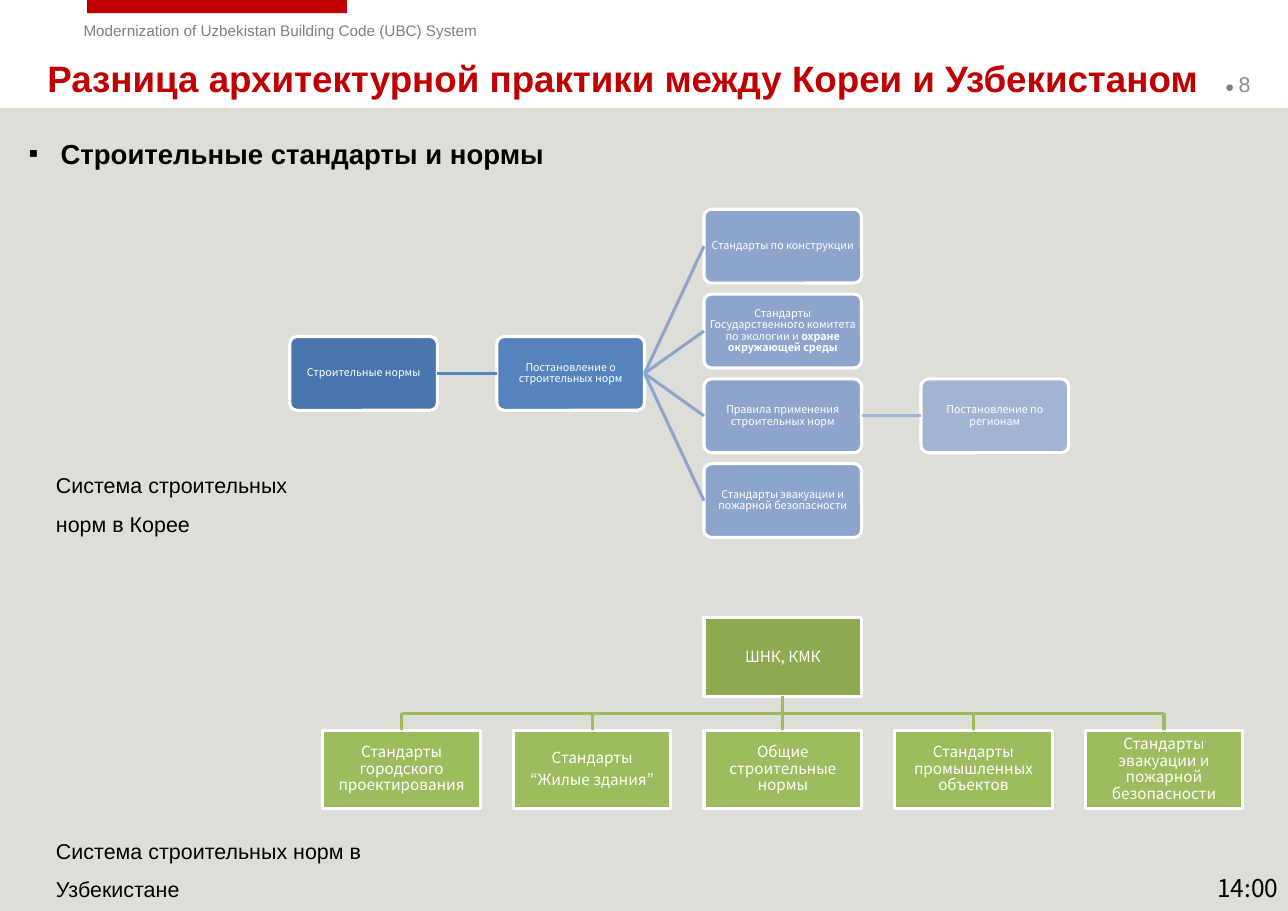
from lxml.etree import SubElement
from pptx import Presentation
from pptx.dml.color import RGBColor
from pptx.enum.shapes import MSO_CONNECTOR as CONNECTOR, MSO_SHAPE as SHAPE
from pptx.enum.text import MSO_ANCHOR as ANCHOR, MSO_AUTO_SIZE as AUTO_SIZE, PP_ALIGN as ALIGN
from pptx.oxml.ns import qn
from pptx.util import Inches, Pt

WHITE = RGBColor(0xFF, 0xFF, 0xFF)
BLACK = RGBColor(0, 0, 0)
RED = RGBColor(0xC0, 0, 0)
PANEL = RGBColor(0xDE, 0xDE, 0xD8)
GRAY = RGBColor(0x80, 0x80, 0x80)
NUMBER_GRAY = RGBColor(0x8C, 0x8C, 0x8C)
LAW_BLUE = RGBColor(0x48, 0x75, 0xAC)
DECREE_BLUE = RGBColor(0x54, 0x83, 0xBE)
STANDARD_BLUE = RGBColor(0x8D, 0xA5, 0xCC)
REGION_BLUE = RGBColor(0xA1, 0xB4, 0xD4)
ROOT_GREEN = RGBColor(0x8D, 0xAA, 0x51)
GREEN = RGBColor(0x9C, 0xBC, 0x5D)

BODY_FONT = "Arial"
DIAGRAM_FONT = "Noto Sans CJK KR"
TEXT_INSETS = (0.1, 0.05)
PLACEHOLDER_INSETS = (0.11, 0.06)


def write_text(shape, *paragraphs, size, color, font=BODY_FONT, bold=False, align=ALIGN.LEFT,
               anchor=ANCHOR.TOP, insets=TEXT_INSETS, line_spacing=1.0, space_after=0, bullet=None):
    """Fill a shape; each paragraph is a string or a list of (text, format overrides)."""
    frame = shape.text_frame
    frame.word_wrap = True
    frame.auto_size = AUTO_SIZE.NONE
    frame.vertical_anchor = anchor
    frame.margin_left = frame.margin_right = Inches(insets[0])
    frame.margin_top = frame.margin_bottom = Inches(insets[1])
    for index, content in enumerate(paragraphs):
        paragraph = frame.add_paragraph() if index else frame.paragraphs[0]
        paragraph.alignment = align
        paragraph.line_spacing = line_spacing
        paragraph.space_before = Pt(0)
        paragraph.space_after = Pt(space_after)
        if bullet:
            add_bullet(paragraph, bullet)
        runs = [(content, {})] if isinstance(content, str) else content
        for text, overrides in runs:
            run = paragraph.add_run()
            run.text = text
            run.font.name = font
            run.font.size = Pt(overrides.get("size", size))
            run.font.bold = overrides.get("bold", bold)
            run.font.color.rgb = overrides.get("color", color)


def add_bullet(paragraph, character):
    properties = paragraph._p.get_or_add_pPr()
    properties.set("marL", str(Inches(0.29)))
    properties.set("indent", str(-Inches(0.29)))
    SubElement(properties, qn("a:buFont")).set("typeface", BODY_FONT)
    SubElement(properties, qn("a:buChar")).set("char", character)


def add_text(slide, box, *paragraphs, **text_format):
    shape = slide.shapes.add_textbox(*map(Inches, box))
    write_text(shape, *paragraphs, **text_format)


def add_box(slide, kind, box, fill, line=None):
    shape = slide.shapes.add_shape(kind, *map(Inches, box))
    shape.shadow.inherit = False
    shape.fill.solid()
    shape.fill.fore_color.rgb = fill
    if line is None:
        shape.line.fill.background()
    else:
        shape.line.color.rgb = line
        shape.line.width = Pt(2)
    return shape


def add_node(slide, kind, box, fill, *paragraphs, size, inset):
    node = add_box(slide, kind, box, fill, WHITE)
    if kind == SHAPE.ROUNDED_RECTANGLE:
        node.adjustments[0] = 0.1
    write_text(node, *paragraphs, size=size, color=WHITE, font=DIAGRAM_FONT, align=ALIGN.CENTER,
               anchor=ANCHOR.MIDDLE, insets=(inset, inset), line_spacing=0.9, space_after=0.35 * size)
    return node


def add_line(slide, color, start=(0, 0), end=(0, 0), begin_site=None, end_site=None):
    """Draw a line between points; a site (shape, index) replaces the point at its end."""
    line = slide.shapes.add_connector(CONNECTOR.STRAIGHT, *map(Inches, (*start, *end)))
    if begin_site:
        line.begin_connect(*begin_site)
    if end_site:
        line.end_connect(*end_site)
    line.line.color.rgb = color
    line.line.width = Pt(2)
    SubElement(line._element.spPr, qn("a:effectLst"))


def add_header(slide, width):
    add_box(slide, SHAPE.RECTANGLE, (0.79, 0, 2.36, 0.12), RED)
    add_text(slide, (0.66, 0.14, 4.68, 0.27),
             "Modernization of Uzbekistan Building Code (UBC) System", size=10, color=GRAY)
    add_text(slide, (width - 0.68, 0.54, 0.69, 0.44),
             [("● ", {"size": 10, "color": GRAY}), ("8", {})],
             size=14, color=NUMBER_GRAY, anchor=ANCHOR.MIDDLE, insets=PLACEHOLDER_INSETS)
    title = slide.shapes.title
    title.left, title.top, title.width, title.height = map(Inches, (0.32, 0.51, 10.74, 0.4))
    write_text(title, "Разница архитектурной практики между Кореи и Узбекистаном", size=24,
               color=RED, bold=True, anchor=ANCHOR.MIDDLE, insets=PLACEHOLDER_INSETS)


def add_korea_diagram(slide, left, top):
    """Place the left-to-right tree with its top left corner at the given point."""
    width, standard_width, height, gap = 1.34, 1.43, 0.67, 0.54
    pitch = 0.77
    decree_left = left + width + gap
    standard_left = decree_left + width + gap
    region_left = standard_left + standard_width + gap
    middle = top + 1.5 * pitch

    def add_rounded(x, y, node_width, fill, content):
        return add_node(slide, SHAPE.ROUNDED_RECTANGLE, (x, y, node_width, height), fill,
                        content, size=7, inset=0)

    def join(parent, child, color):
        add_line(slide, color, begin_site=(parent, 3), end_site=(child, 1))

    law = add_rounded(left, middle, width, LAW_BLUE, "Строительные нормы")
    decree = add_rounded(decree_left, middle, width, DECREE_BLUE, "Постановление о строительных норм")
    join(law, decree, DECREE_BLUE)
    standards = []
    for row, content in enumerate([
        "Стандарты по конструкции",
        [("Стандарты Государственного комитета по экологии и ", {}),
         ("охране окружающей среды", {"bold": True})],
        "Правила применения строительных норм",
        "Стандарты эвакуации и пожарной безопасности",
    ]):
        standard = add_rounded(standard_left, top + row * pitch, standard_width, STANDARD_BLUE, content)
        join(decree, standard, STANDARD_BLUE)
        standards.append(standard)
    region = add_rounded(region_left, top + 2 * pitch, width, REGION_BLUE, "Постановление по регионам")
    join(standards[2], region, REGION_BLUE)


def add_uzbekistan_diagram(slide, left, top):
    """Place the top-down tree with its top left corner at the given point."""
    width, height, pitch, gap = 1.43, 0.71, 1.73, 0.31
    children = [
        ["Стандарты городского проектирования"],
        ["Стандарты", "“Жилые здания”"],
        ["Общие строительные нормы"],
        ["Стандарты промышленных объектов"],
        ["Стандарты эвакуации и пожарной безопасности"],
    ]
    first_center = left + width / 2
    last_center = first_center + (len(children) - 1) * pitch
    root_center = (first_center + last_center) / 2
    bus = top + height + gap / 2

    def add_square(x, y, fill, paragraphs):
        return add_node(slide, SHAPE.RECTANGLE, (x, y, width, height), fill, *paragraphs,
                        size=10, inset=0.01)

    root = add_square(root_center - width / 2, top, ROOT_GREEN, ["ШНК, КМК"])
    add_line(slide, GREEN, end=(root_center, bus), begin_site=(root, 2))
    add_line(slide, GREEN, (first_center, bus), (last_center, bus))
    for column, paragraphs in enumerate(children):
        child = add_square(left + column * pitch, top + height + gap, GREEN, paragraphs)
        add_line(slide, GREEN, start=(first_center + column * pitch, bus), end_site=(child, 0))


def add_standards_slide(presentation, width, height):
    slide = presentation.slides.add_slide(presentation.slide_layouts[5])
    add_box(slide, SHAPE.RECTANGLE, (0, 0.98, width, height - 0.98), PANEL)
    add_header(slide, width)
    add_text(slide, (0.15, 1.18, 11.38, 0.4), "Строительные стандарты и нормы", size=18,
             color=BLACK, bold=True, insets=PLACEHOLDER_INSETS, bullet="▪")
    add_korea_diagram(slide, 2.63, 1.9)
    add_uzbekistan_diagram(slide, 2.93, 5.61)
    for top, label_width, caption in [
        (4.12, 2.76, "Система строительных норм в Корее"),
        (7.44, 3.62, "Система строительных норм в Узбекистане"),
    ]:
        add_text(slide, (0.41, top, label_width, 0.76), caption, size=14, color=BLACK, line_spacing=1.5)
    add_text(slide, (width - 1.43, 7.88, 1.44, 0.37), "14:00", size=16, color=BLACK,
             font=DIAGRAM_FONT, align=ALIGN.RIGHT)


def main():
    width, height = 11.69, 8.27
    presentation = Presentation()
    presentation.slide_width = Inches(width)
    presentation.slide_height = Inches(height)
    add_standards_slide(presentation, width, height)
    presentation.save("out.pptx")


if __name__ == "__main__":
    main()
